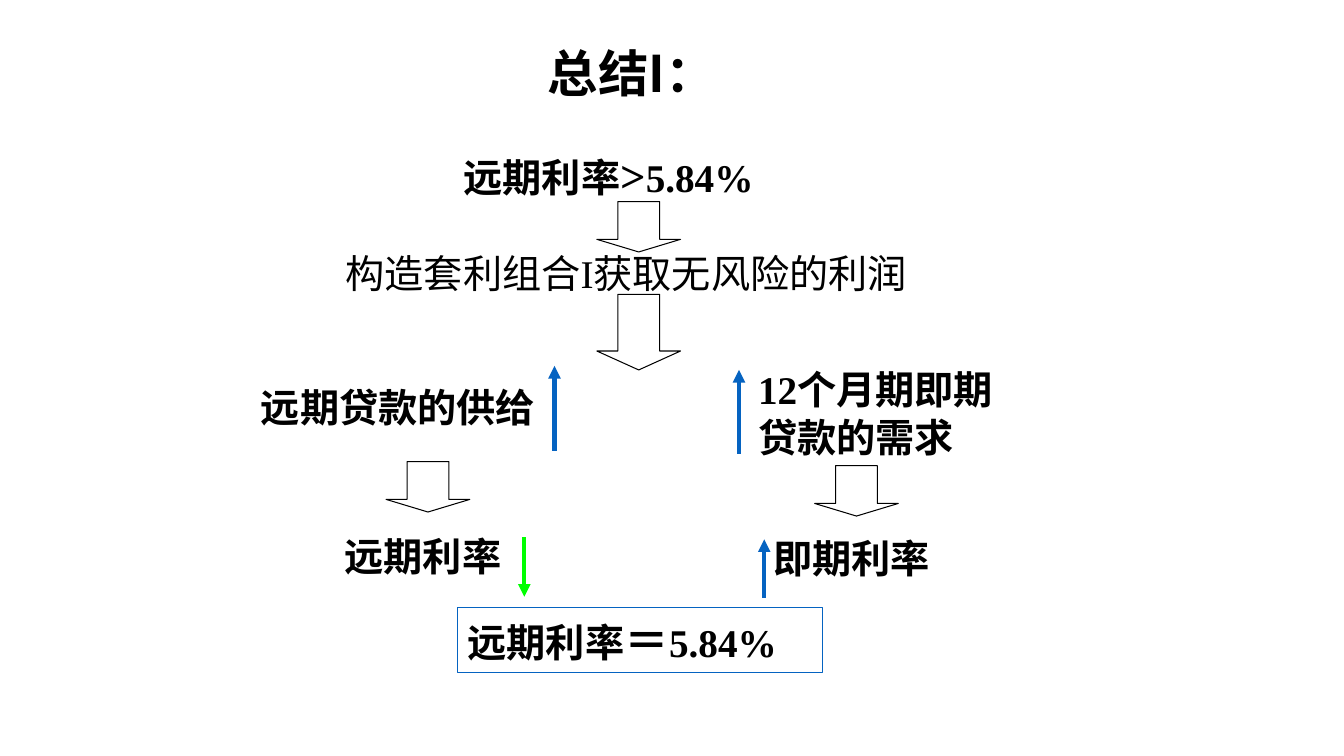
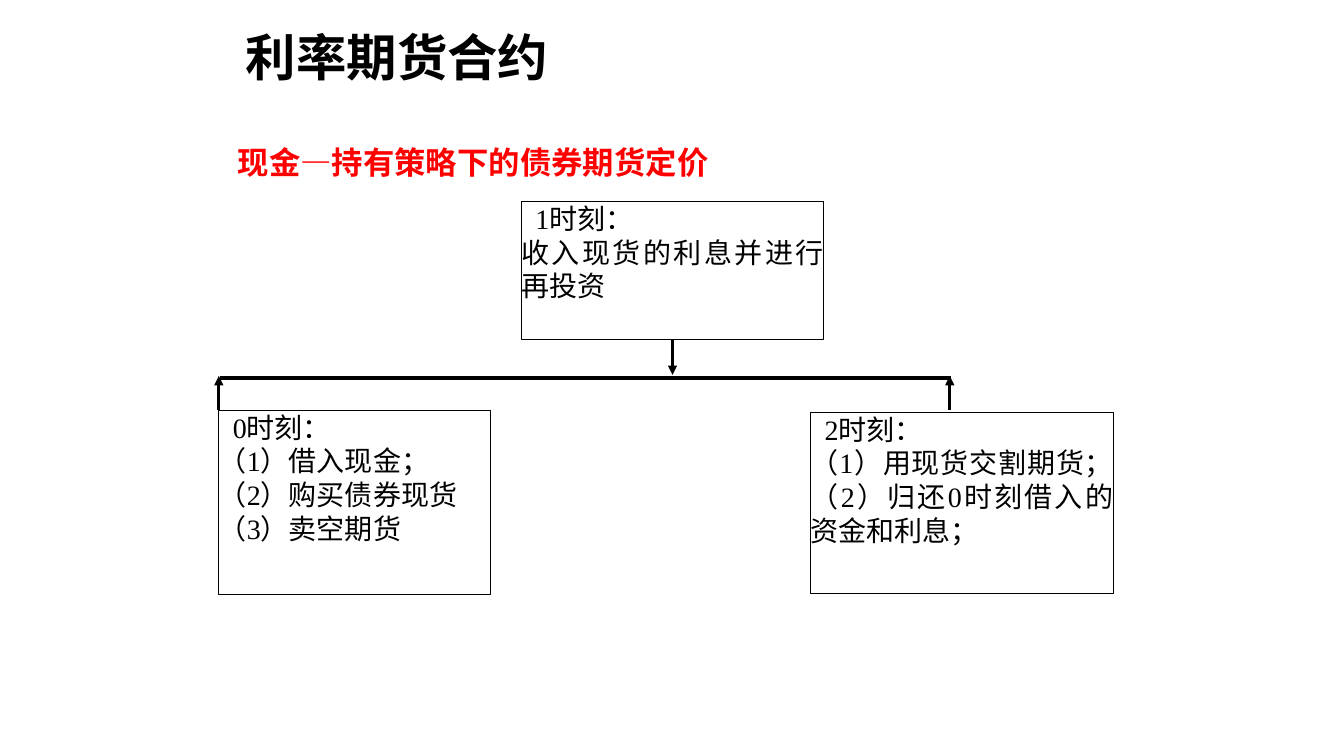
"""Build two slides on forward-rate arbitrage and interest-rate futures."""
import lxml.etree
import pptx
import pptx.dml.color
import pptx.enum.shapes
import pptx.enum.text
import pptx.oxml.ns
import pptx.util

PX = 9144
BLACK, WHITE, BLUE, GREEN, RED = "000000", "FFFFFF", "0563C1", "00FF00", "FF0000"
SANS, SANS_JP, SERIF = "Noto Sans CJK SC", "Noto Sans CJK JP", "Times New Roman"
TITLE_SIZE, BODY_SIZE, SIGN_SIZE, BOX_SIZE = 36, 28, 32, 20
ALIGN = pptx.enum.text.PP_ALIGN
ANCHOR = pptx.enum.text.MSO_ANCHOR
SHAPE = pptx.enum.shapes.MSO_SHAPE
color = pptx.dml.color.RGBColor.from_string
qn = pptx.oxml.ns.qn


def write(shape, paragraphs, size=BODY_SIZE, bold=True, ink=BLACK, align=ALIGN.LEFT, anchor=ANCHOR.TOP):
    """Fill a shape with paragraphs made of (text, font, size) runs and return the paragraphs."""
    frame = shape.text_frame
    frame.word_wrap = True
    frame.vertical_anchor = anchor
    for index, runs in enumerate(paragraphs):
        paragraph = frame.add_paragraph() if index else frame.paragraphs[0]
        paragraph.alignment = align
        paragraph._p.get_or_add_pPr().set("hangingPunct", "0")
        paragraph.font.size = pptx.util.Pt(size)
        paragraph.font.bold = bold
        paragraph.font.color.rgb = color(ink)
        for text, font, *own_size in runs:
            run = paragraph.add_run()
            run.text = text
            run.font.name = font
            if own_size:
                run.font.size = pptx.util.Pt(own_size[0])
            east_asian = lxml.etree.SubElement(run.font._element, qn("a:ea"))
            east_asian.set("typeface", SANS if font == SERIF else font)
    return frame.paragraphs


def draw_line(slide, x1, y1, x2, y2, ink, points, arrow=True):
    """Draw a straight line, with an arrowhead at its end if asked."""
    connector = slide.shapes.add_connector(
        pptx.enum.shapes.MSO_CONNECTOR.STRAIGHT, x1 * PX, y1 * PX, x2 * PX, y2 * PX)
    connector.line.color.rgb = color(ink)
    connector.line.width = pptx.util.Pt(points)
    properties = connector._element.spPr
    if arrow:
        lxml.etree.SubElement(properties.find(qn("a:ln")), qn("a:tailEnd")).set("type", "triangle")
    lxml.etree.SubElement(properties, qn("a:effectLst"))


presentation = pptx.Presentation()
presentation.slide_width = 1333 * PX
presentation.slide_height = 750 * PX
blank = presentation.slide_layouts[6]

summary = presentation.slides.add_slide(blank)
title = summary.shapes.add_textbox(218 * PX, 44 * PX, 817 * PX, 64 * PX)
heading = write(title, [[("总结I：", SANS)]], size=TITLE_SIZE, align=ALIGN.CENTER, anchor=ANCHOR.MIDDLE)[0]
heading.line_spacing = 0.9

for x, y, height in [(592, 200, 50), (592, 292, 75), (383, 458, 50), (808, 462, 50)]:
    block_arrow = summary.shapes.add_shape(SHAPE.DOWN_ARROW, x * PX, y * PX, 83 * PX, height * PX)
    block_arrow.adjustments[0] = 0.5
    block_arrow.adjustments[1] = 0.25
    block_arrow.shadow.inherit = False
    block_arrow.fill.solid()
    block_arrow.fill.fore_color.rgb = color(WHITE)
    block_arrow.line.color.rgb = color(BLACK)
    block_arrow.line.width = pptx.util.Pt(0.75)

steps = [
    (450, 142, 375, 63, True, [("远期利率", SANS), (">", SERIF, SIGN_SIZE), ("5.84%", SERIF)]),
    (333, 242, 608, 57, False, [("构造套利组合I获取无风险的利润", SERIF)]),
    (249, 375, 301, 57, True, [("远期", SERIF), ("贷款的供给", SANS)]),
    (742, 358, 258, 103, True, [("12", SERIF), ("个月期即期贷款的需求", SANS)]),
    (332, 523, 192, 57, True, [("远期利率", SANS)]),
    (757, 525, 192, 57, True, [("即期利率", SANS)]),
]
for x, y, width, height, bold, runs in steps:
    write(summary.shapes.add_textbox(x * PX, y * PX, width * PX, height * PX), [runs], bold=bold)

for x, start, end, ink in [(550, 447, 363, BLUE), (733, 450, 367, BLUE),
                           (520, 533, 592, GREEN), (758, 593, 535, BLUE)]:
    draw_line(summary, x, start, x, end, ink, 3)

result = summary.shapes.add_shape(SHAPE.RECTANGLE, 454 * PX, 603 * PX, 362 * PX, 64 * PX)
result.shadow.inherit = False
result.fill.background()
result.line.color.rgb = color(BLUE)
result.line.width = pptx.util.Pt(0.75)
write(result, [[("远期利率", SANS), ("＝", SERIF, SIGN_SIZE), ("5.84%", SERIF)]])

futures = presentation.slides.add_slide(blank)
draw_line(futures, 218, 375, 943, 375, BLACK, 2.25, arrow=False)

moments = [
    (217, 407, 270, 183, ["0时刻：", "（1）借入现金；", "（2）购买债券现货", "（3）卖空期货"]),
    (804, 409, 300, 180, ["2时刻：", "（1）用现货交割期货；（2）归还0时刻借入的资金和利息；"]),
    (517, 200, 300, 137, ["1时刻：", "收入现货的利息并进行再投资"]),
]
for x, y, width, height, texts in moments:
    box = futures.shapes.add_shape(SHAPE.RECTANGLE, x * PX, y * PX, width * PX, height * PX)
    box.shadow.inherit = False
    box.fill.solid()
    box.fill.fore_color.rgb = color(WHITE)
    box.line.color.rgb = color(BLACK)
    box.line.width = pptx.util.Pt(0.75)
    frame = box.text_frame
    frame.margin_left = frame.margin_right = frame.margin_top = frame.margin_bottom = 0
    lines = write(box, [[(text, SERIF)] for text in texts], size=BOX_SIZE, bold=False, align=ALIGN.JUSTIFY)
    lines[0]._p.get_or_add_pPr().set("indent", str(14 * PX))

for x, start, end in [(217, 407, 373), (942, 407, 373), (667, 337, 372)]:
    draw_line(futures, x, start, x, end, BLACK, 2.25)

title = futures.shapes.add_textbox(234 * PX, 21 * PX, 542 * PX, 71 * PX)
write(title, [[("利率期货合约", SANS)]], size=TITLE_SIZE)
subtitle = futures.shapes.add_textbox(226 * PX, 123 * PX, 817 * PX, 63 * PX)
pricing = write(subtitle, [[("现金—持有策略下的债券期货定价", SANS_JP)]], ink=RED, anchor=ANCHOR.BOTTOM)[0]
pricing.runs[0].font._element.set("cap", "small")

presentation.save("out.pptx")
